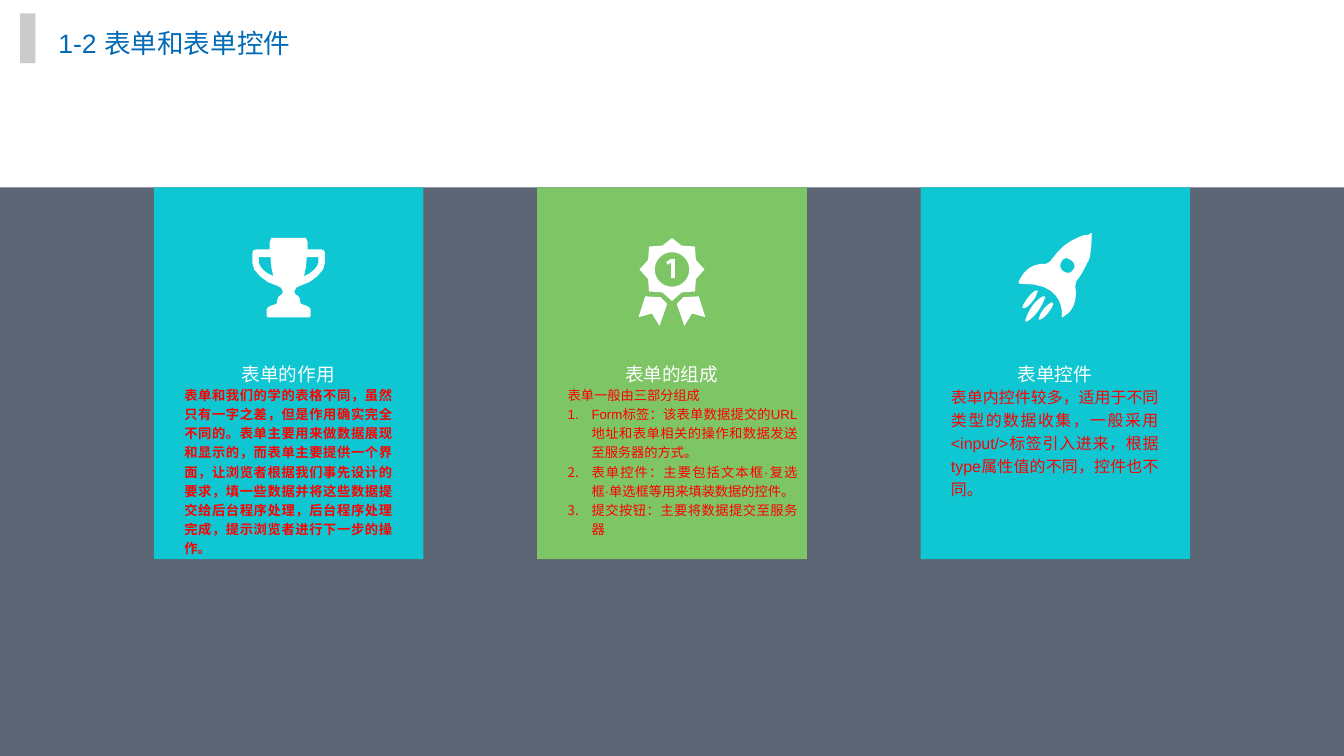
import math
from dataclasses import dataclass

from lxml import etree
from pptx import Presentation
from pptx import util as u
from pptx.dml.color import RGBColor
from pptx.enum import shapes, text
from pptx.oxml.ns import qn

Point = tuple[float, float]
Contour = list[Point]
Piece = list[Contour]


@dataclass(frozen=True)
class Theme:
    font: str = "Arial"
    white: str = "FFFFFF"
    teal: str = "0FC7D3"
    green: str = "7EC565"
    slate: str = "333F50"
    grey: str = "BFBFBF"
    blue: str = "006AB6"
    red: str = "FF0000"
    title_size: int = 20
    heading_size: int = 14
    large_size: int = 12
    small_size: int = 10
    line_spacing: float = 1.2


@dataclass(frozen=True)
class Frame:
    left: float
    top: float
    width: float
    height: float

    def lengths(self) -> list[int]:
        return [u.Inches(v) for v in (self.left, self.top, self.width, self.height)]


@dataclass(frozen=True)
class Card:
    colour: str
    heading: str
    heading_width: float
    body: list[str]
    body_size: int
    body_width: float
    body_height: float
    icon: list[Piece]
    bold: bool = False


THEME = Theme()
SLIDE_WIDTH, SLIDE_HEIGHT = 14.06, 7.91
CARD_LEFT, CARD_STEP, CARD_TOP = 1.61, 4.01, 1.96
CARD_WIDTH, CARD_HEIGHT = 2.82, 3.89


def mirrored(half: Contour) -> Contour:
    return [(-x, y) for x, y in half]


def whole(half: Contour) -> Contour:
    """Join a right half with its mirror image about the card's centre line."""
    return half + mirrored(half)[::-1]


def curve(points: Contour, steps: int = 8) -> Contour:
    """Flatten a chain of cubic Béziers: a start, then three points per piece."""
    result = [points[0]]
    for i in range(0, len(points) - 1, 3):
        piece = points[i:i + 4]
        for step in range(1, steps + 1):
            t = step / steps
            weights = ((1 - t) ** 3, 3 * t * (1 - t) ** 2, 3 * t * t * (1 - t), t ** 3)
            result.append((sum(w * p[0] for w, p in zip(weights, piece)),
                           sum(w * p[1] for w, p in zip(weights, piece))))
    return result


def circle(centre_y: float, radius: float, count: int = 48) -> Contour:
    angles = [2 * math.pi * i / count for i in range(count)]
    return [(radius * math.cos(a), centre_y + radius * math.sin(a)) for a in angles]


# Icon points: x from the card's centre line, y from the top of the slide.
CUP = [(0, 2.49), (.15, 2.49), (.18, 2.49), (.19, 2.51), (.2, 2.54), (.2, 2.61), (.34, 2.61),
       (.37, 2.62), (.38, 2.65), (.38, 2.75), (.36, 2.82), (.3, 2.89), (.22, 2.95), (.12, 2.99),
       (.08, 3.01), (.06, 3.05), (.07, 3.08), (.09, 3.09), (.11, 3.11), (.12, 3.14), (.12, 3.16),
       (.13, 3.18), (.16, 3.19), (.19, 3.2), (.22, 3.22), (.23, 3.24), (.23, 3.3), (.22, 3.32),
       (0, 3.32)]
HANDLE = [(.31, 2.69), (.19, 2.69), (.18, 2.8), (.16, 2.89), (.22, 2.86), (.27, 2.82),
          (.3, 2.78), (.31, 2.75)]
TROPHY = [[whole(CUP), HANDLE, mirrored(HANDLE)]]

STAR = [(0, 2.49), (.1, 2.57), (.24, 2.58), (.25, 2.72), (.34, 2.82), (.25, 2.92),
        (.24, 3.05), (.1, 3.06), (0, 3.15)]
RIBBON = [(.28, 3.1), (.12, 3.11), (.05, 3.18), (.13, 3.41), (.21, 3.28), (.35, 3.32)]
DIGIT = [(-.06, 2.74), (-.05, 2.77), (-.01, 2.75), (-.01, 2.91), (.03, 2.91), (.03, 2.71),
         (-.01, 2.71)]
MEDAL = [[mirrored(RIBBON)], [RIBBON], [whole(STAR), circle(2.82, .18)], [DIGIT]]

FLAMES = [
    [(-.03, 3.17), (-.02, 3.17), (-.02, 3.18), (-.02, 3.18), (-.04, 3.23), (-.09, 3.31),
     (-.15, 3.34), (-.17, 3.35), (-.18, 3.34), (-.17, 3.33), (-.16, 3.28), (-.12, 3.21),
     (-.05, 3.17), (-.04, 3.16), (-.03, 3.16), (-.03, 3.17)],
    [(-.11, 3.1), (-.1, 3.11), (-.1, 3.11), (-.11, 3.12), (-.13, 3.18), (-.19, 3.3),
     (-.29, 3.36), (-.31, 3.37), (-.32, 3.36), (-.31, 3.34), (-.29, 3.28), (-.24, 3.16),
     (-.13, 3.1), (-.12, 3.1), (-.12, 3.1), (-.11, 3.1)],
    [(-.19, 3.04), (-.18, 3.04), (-.18, 3.05), (-.19, 3.06), (-.2, 3.11), (-.25, 3.18),
     (-.31, 3.22), (-.34, 3.23), (-.35, 3.22), (-.34, 3.2), (-.32, 3.16), (-.28, 3.09),
     (-.21, 3.04), (-.2, 3.04), (-.19, 3.04), (-.19, 3.04)],
]
WINDOW = [(.11, 2.7), (.09, 2.71), (.08, 2.71), (.07, 2.73), (.04, 2.77), (.05, 2.82),
          (.09, 2.84), (.12, 2.86), (.16, 2.86), (.18, 2.83), (.22, 2.79), (.2, 2.74),
          (.16, 2.72), (.14, 2.71), (.13, 2.7), (.11, 2.7)]
HULL = [(.37, 2.44), (.38, 2.44), (.39, 2.44), (.38, 2.46), (.38, 2.5), (.38, 2.57),
        (.37, 2.62), (.37, 2.66), (.36, 2.71), (.34, 2.74), (.31, 2.8), (.28, 2.87),
        (.22, 2.94), (.22, 2.95), (.21, 2.98), (.21, 3), (.22, 3.07), (.23, 3.23),
        (.09, 3.31), (.07, 3.33), (.06, 3.32), (.07, 3.29), (.07, 3.19), (.03, 2.96),
        (-.35, 2.97), (-.38, 2.97), (-.39, 2.96), (-.38, 2.94), (-.35, 2.88), (-.28, 2.75),
        (-.1, 2.76), (-.09, 2.76), (-.06, 2.74), (-.05, 2.73), (-.01, 2.68), (.05, 2.59),
        (.15, 2.53), (.22, 2.49), (.27, 2.47), (.3, 2.46), (.33, 2.46), (.35, 2.46),
        (.37, 2.44)]
ROCKET = [[curve(part) for part in (*FLAMES, HULL, WINDOW)]]

CARDS = [
    Card(THEME.teal, "表单的作用", 1.18,
         ["表单和我们的学的表格不同，虽然只有一字之差，但是作用确实完全不同的。"
          "表单主要用来做数据展现和显示的，而表单主要提供一个界面，让浏览者根据我们事先设计的要求，"
          "填一些数据并将这些数据提交给后台程序处理，后台程序处理完成，提示浏览者进行下一步的操作。"],
         THEME.small_size, 2.37, 1.92, TROPHY, bold=True),
    Card(THEME.green, "表单的组成", 1.18,
         ["表单一般由三部分组成",
          "Form标签：该表单数据提交的URL地址和表单相关的操作和数据发送至服务器的方式。",
          "表单控件：主要包括文本框·复选框·单选框等用来填装数据的控件。",
          "提交按钮：主要将数据提交至服务器"],
         THEME.small_size, 2.6, 1.72, MEDAL),
    Card(THEME.teal, "表单控件", 0.99,
         ["表单内控件较多，适用于不同类型的数据收集，一般采用<input/>标签引入进来，"
          "根据type属性值的不同，控件也不同。"],
         THEME.large_size, 2.37, 1.31, ROCKET),
]


def paint(shape, colour: str, alpha: int = 100) -> None:
    shape.shadow.inherit = False
    shape.line.fill.background()
    shape.fill.solid()
    shape.fill.fore_color.rgb = RGBColor.from_string(colour)
    if alpha < 100:
        tint = shape.fill._xPr.find(f".//{qn('a:srgbClr')}")
        etree.SubElement(tint, qn("a:alpha"), val=str(alpha * 1000))


def add_rect(page, frame: Frame, colour: str, alpha: int = 100) -> None:
    paint(page.shapes.add_shape(shapes.MSO_SHAPE.RECTANGLE, *frame.lengths()), colour, alpha)


def add_piece(page, piece: Piece, centre: float) -> None:
    placed = [[(u.Inches(centre + x), u.Inches(y)) for x, y in contour] for contour in piece]
    builder = page.shapes.build_freeform(*placed[0][0])
    for i, contour in enumerate(placed):
        if i:
            builder.move_to(*contour[0])
        builder.add_line_segments(contour[1:], close=True)
    paint(builder.convert_to_shape(), THEME.white)


def write(box, lines: list[str], size: int, colour: str, align: text.PP_ALIGN,
          bold: bool = False, wrap: bool = True) -> None:
    """Fill a text box; every line after the first is a numbered item."""
    frame = box.text_frame
    settings = {"word_wrap": wrap, "auto_size": text.MSO_AUTO_SIZE.SHAPE_TO_FIT_TEXT,
                "vertical_anchor": text.MSO_ANCHOR.TOP}
    for name, value in settings.items():
        setattr(frame, name, value)
    for i, line in enumerate(lines):
        para = frame.add_paragraph() if i else frame.paragraphs[0]
        para.alignment, para.line_spacing = align, THEME.line_spacing
        span = para.add_run()
        span.text = line
        for name, value in {"name": THEME.font, "size": u.Pt(size), "bold": bold}.items():
            setattr(span.font, name, value)
        span.font.color.rgb = RGBColor.from_string(colour)
        props = para._p.get_or_add_pPr()
        props.set("hangingPunct", "0")
        if i:
            props.set("marL", str(u.Inches(0.25)))
            props.set("indent", str(u.Inches(-0.25)))
            etree.SubElement(props, qn("a:buFont"), typeface=THEME.font)
            etree.SubElement(props, qn("a:buAutoNum"), type="arabicPeriod")


def add_card(page, card: Card, left: float) -> None:
    centre = left + CARD_WIDTH / 2
    justify = text.PP_ALIGN.JUSTIFY
    add_rect(page, Frame(left, CARD_TOP, CARD_WIDTH, CARD_HEIGHT), card.colour)
    for piece in card.icon:
        add_piece(page, piece, centre)
    body = Frame(left + 0.22, 3.97, card.body_width, card.body_height)
    write(page.shapes.add_textbox(*body.lengths()), card.body, card.body_size, THEME.red,
          justify, bold=card.bold)
    heading = Frame(centre - card.heading_width / 2, 3.7, card.heading_width, 0.38)
    write(page.shapes.add_textbox(*heading.lengths()), [card.heading], THEME.heading_size,
          THEME.white, justify, wrap=False)


def add_title(page) -> None:
    add_rect(page, Frame(0.21, 0.14, 0.16, 0.52), THEME.grey, alpha=80)
    title = page.shapes.title
    title.left, title.top, title.width, title.height = Frame(0.54, 0.18, 3.11, 0.48).lengths()
    for side, value in {"left": 0.07, "top": 0.04, "right": 0.07, "bottom": 0.04}.items():
        setattr(title.text_frame, f"margin_{side}", u.Inches(value))
    write(title, ["1-2 表单和表单控件"], THEME.title_size, THEME.blue, text.PP_ALIGN.LEFT)


def main() -> None:
    deck = Presentation()
    deck.slide_width, deck.slide_height = u.Inches(SLIDE_WIDTH), u.Inches(SLIDE_HEIGHT)
    page = deck.slides.add_slide(deck.slide_layouts[5])
    add_rect(page, Frame(0, CARD_TOP, SLIDE_WIDTH, SLIDE_HEIGHT - CARD_TOP), THEME.slate, alpha=80)
    for i, card in enumerate(CARDS):
        add_card(page, card, CARD_LEFT + i * CARD_STEP)
    add_title(page)
    deck.save("out.pptx")


if __name__ == "__main__":
    main()
